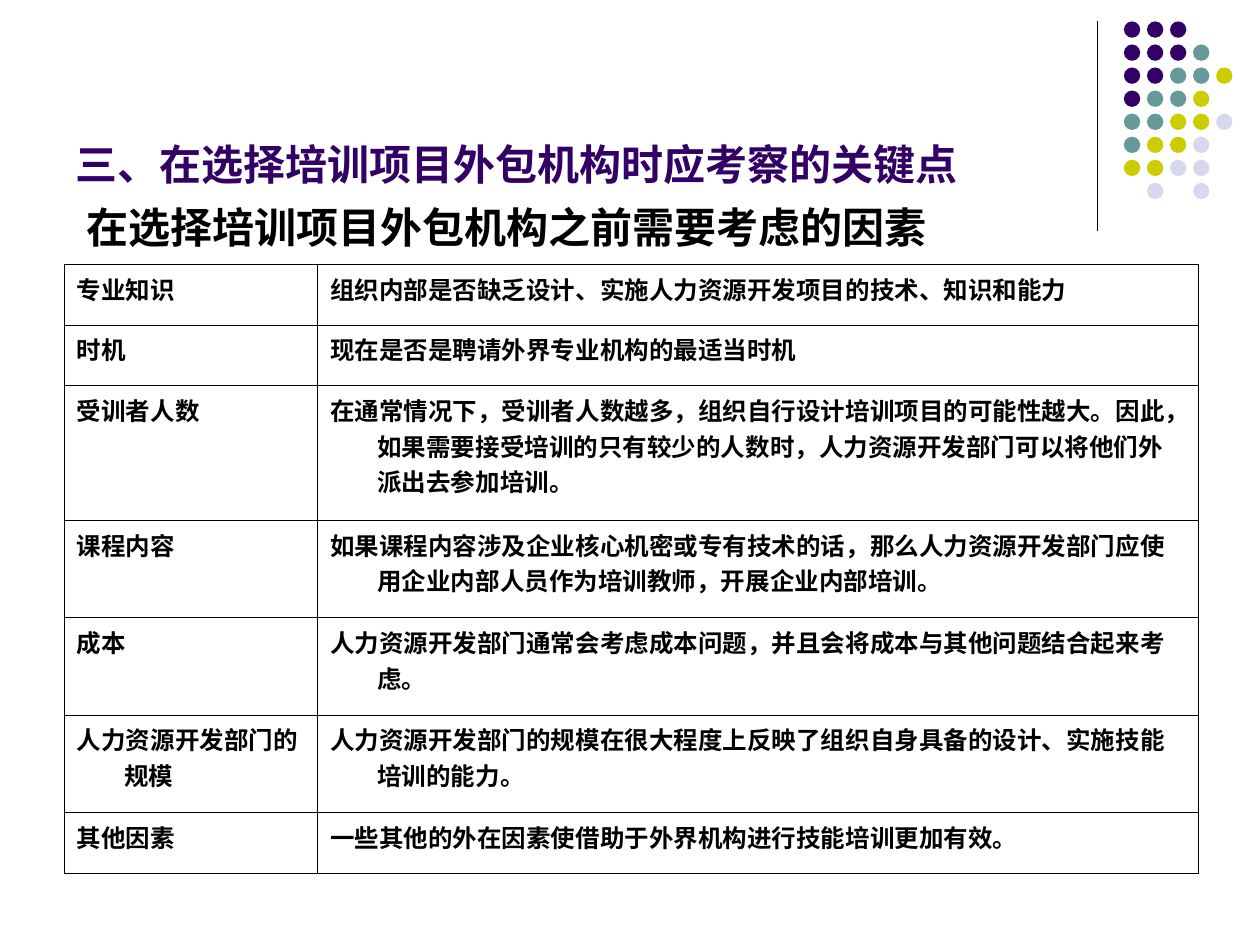
from lxml import etree
from pptx import Presentation
from pptx.dml.color import RGBColor
from pptx.enum.shapes import MSO_CONNECTOR, MSO_SHAPE
from pptx.enum.text import MSO_ANCHOR
from pptx.oxml.ns import qn
from pptx.util import Inches, Pt

STRAIGHT = MSO_CONNECTOR.STRAIGHT
OVAL = MSO_SHAPE.OVAL
TOP = MSO_ANCHOR.TOP
BOTTOM = MSO_ANCHOR.BOTTOM

BLACK = RGBColor(0x00, 0x00, 0x00)
PURPLE = RGBColor(0x33, 0x00, 0x66)
TEAL = RGBColor(0x66, 0x99, 0x99)
OLIVE = RGBColor(0xCC, 0xCC, 0x00)
LAVENDER = RGBColor(0xD8, 0xD8, 0xEC)

GRID_COLUMNS = 100
GRID_ROWS = 75

DOT_COLORS = {"P": PURPLE, "T": TEAL, "O": OLIVE, "L": LAVENDER}
DOT_ROWS = ["PPP", "PPPT", "PPTTO", "PTTO", "TTOOL", "TOOL", "OOLL", ".L.L"]

COLUMN_WIDTHS = [20.1, 69.9]
ROW_HEIGHTS = [4.8, 4.8, 10.7, 7.73, 7.73, 7.73, 4.8]
FACTORS = [
    ("专业知识", "组织内部是否缺乏设计、实施人力资源开发项目的技术、知识和能力"),
    ("时机", "现在是否是聘请外界专业机构的最适当时机"),
    ("受训者人数", "在通常情况下，受训者人数越多，组织自行设计培训项目的可能性越大。"
     "因此，如果需要接受培训的只有较少的人数时，人力资源开发部门可以将他们外派出去参加培训。"),
    ("课程内容", "如果课程内容涉及企业核心机密或专有技术的话，"
     "那么人力资源开发部门应使用企业内部人员作为培训教师，开展企业内部培训。"),
    ("成本", "人力资源开发部门通常会考虑成本问题，并且会将成本与其他问题结合起来考虑。"),
    ("人力资源开发部门的规模",
     "人力资源开发部门的规模在很大程度上反映了组织自身具备的设计、实施技能培训的能力。"),
    ("其他因素", "一些其他的外在因素使借助于外界机构进行技能培训更加有效。"),
]


class SlideBuilder:
    heading_font = "Arial"
    heading_size = 24
    table_font = "Times New Roman"
    table_size = 14
    border_width = 0.45
    hanging_indent = 3.75

    def __init__(self, presentation):
        self.column = presentation.slide_width / GRID_COLUMNS
        self.row = presentation.slide_height / GRID_ROWS
        self.slide = presentation.slides.add_slide(presentation.slide_layouts[6])

    def across(self, columns):
        return round(columns * self.column)

    def down(self, rows):
        return round(rows * self.row)

    def box(self, left, top, width, height):
        return self.across(left), self.down(top), self.across(width), self.down(height)

    def add_run(self, paragraph, text, font_name, size, color):
        run = paragraph.add_run()
        run.text = text
        run.font.name = font_name
        run.font.size = Pt(size)
        run.font.bold = True
        run.font.color.rgb = color

    def heading(self, text, bounds, color, anchor=TOP):
        frame = self.slide.shapes.add_textbox(*self.box(*bounds)).text_frame
        frame.word_wrap = True
        frame.vertical_anchor = anchor
        self.add_run(frame.paragraphs[0], text, self.heading_font, self.heading_size, color)

    def vertical_line(self, left, top, bottom):
        line = self.slide.shapes.add_connector(
            STRAIGHT, self.across(left), self.down(top), self.across(left), self.down(bottom))
        line.line.color.rgb = BLACK
        line.line.width = Pt(0.75)
        etree.SubElement(line._element.spPr, qn("a:effectLst"))

    def dots(self, left, top, pitch, diameter):
        group = self.slide.shapes.add_group_shape()
        for row, codes in enumerate(DOT_ROWS):
            for column, code in enumerate(codes):
                if code not in DOT_COLORS:
                    continue
                dot = group.shapes.add_shape(OVAL, *self.box(
                    left + column * pitch, top + row * pitch, diameter, diameter))
                dot.shadow.inherit = False
                dot.fill.solid()
                dot.fill.fore_color.rgb = DOT_COLORS[code]
                dot.line.fill.background()

    def table(self, left, top, widths, heights, rows):
        bounds = self.box(left, top, sum(widths), sum(heights))
        table = self.slide.shapes.add_table(len(rows), len(widths), *bounds).table
        table.first_row = False
        table.horz_banding = False
        for column, width in zip(table.columns, widths):
            column.width = self.across(width)
        for row, height, texts in zip(table.rows, heights, rows):
            row.height = self.down(height)
            for cell, text in zip(row.cells, texts):
                self.fill_cell(cell, text)

    def fill_cell(self, cell, text):
        properties = cell._tc.get_or_add_tcPr()
        for side in ("a:lnL", "a:lnR", "a:lnT", "a:lnB"):
            border = etree.SubElement(properties, qn(side), w=str(Pt(self.border_width)))
            fill = etree.SubElement(border, qn("a:solidFill"))
            etree.SubElement(fill, qn("a:srgbClr"), val=str(BLACK))
        cell.fill.background()
        paragraph = cell.text_frame.paragraphs[0]
        indent = self.across(self.hanging_indent)
        paragraph_properties = paragraph._p.get_or_add_pPr()
        paragraph_properties.set("marL", str(indent))
        paragraph_properties.set("indent", str(-indent))
        self.add_run(paragraph, text, self.table_font, self.table_size, BLACK)


def main():
    presentation = Presentation()
    presentation.slide_width = Inches(10)
    presentation.slide_height = Inches(7.5)
    builder = SlideBuilder(presentation)
    builder.vertical_line(87.1, 1.7, 18.3)
    builder.dots(89.2, 1.7, 1.83, 1.3)
    builder.heading("三、在选择培训项目外包机构时应考察的关键点",
                    (5, 1.3, 82.5, 14.2), PURPLE, BOTTOM)
    builder.table(5.1, 21, COLUMN_WIDTHS, ROW_HEIGHTS, FACTORS)
    builder.heading("在选择培训项目外包机构之前需要考虑的因素",
                    (5.9, 15.5, 77.2, 5), BLACK)
    presentation.save("out.pptx")


if __name__ == "__main__":
    main()
